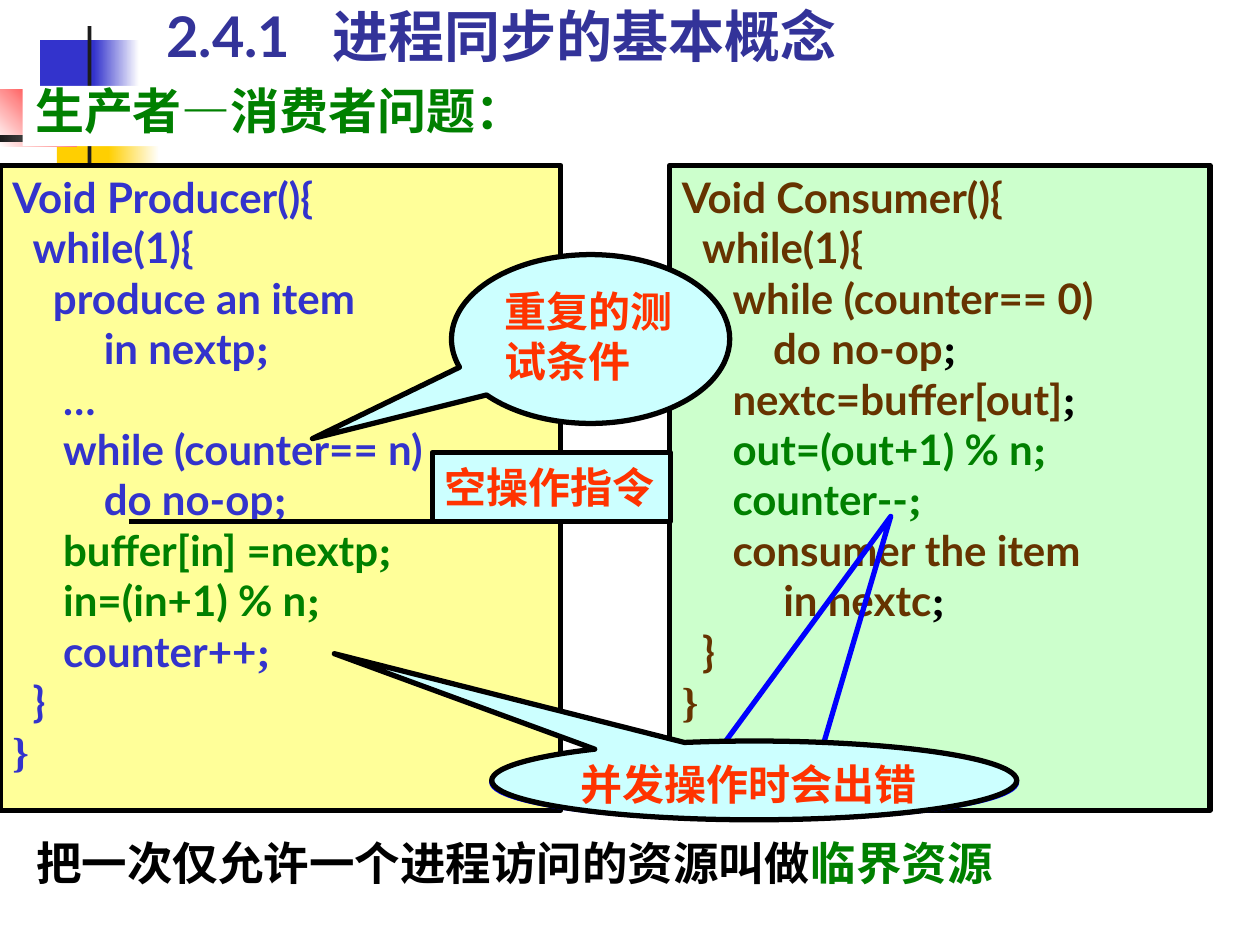
from dataclasses import dataclass
from typing import Any, NamedTuple, Optional

from lxml import etree
from pptx import Presentation
from pptx import util as u
from pptx.dml.color import RGBColor
from pptx.enum import shapes, text
from pptx.oxml.ns import qn

BLUE = RGBColor(0x33, 0x33, 0xCC)
NAVY = RGBColor(0x33, 0x33, 0x99)
PURE = RGBColor(0x00, 0x00, 0xFF)
GOLD = RGBColor(0xFF, 0xCF, 0x01)
RED = RGBColor(0xFF, 0x00, 0x00)
CORAL = RGBColor(0xFF, 0x33, 0x00)
GREEN = RGBColor(0x00, 0x80, 0x00)
BROWN = RGBColor(0x66, 0x33, 0x00)
CREAM = RGBColor(0xFF, 0xFF, 0x99)
MINT = RGBColor(0xCC, 0xFF, 0xCC)
CYAN = RGBColor(0xCC, 0xFF, 0xFF)
INK = RGBColor(0x1C, 0x1C, 0x1C)
BLACK = RGBColor(0x00, 0x00, 0x00)
WHITE = RGBColor(0xFF, 0xFF, 0xFF)

SANS, SERIF = "Lato", "Times New Roman"
RECT = shapes.MSO_SHAPE.RECTANGLE
BALLOON = shapes.MSO_SHAPE.OVAL_CALLOUT
TOP, MIDDLE, BOTTOM = (text.MSO_ANCHOR.TOP, text.MSO_ANCHOR.MIDDLE,
                       text.MSO_ANCHOR.BOTTOM)
STEP = 5.8  # indent of one code column
EDGE = 3


class Box(NamedTuple):
    x: float
    y: float
    w: float
    h: float


class Bar(NamedTuple):
    box: Box
    ink: RGBColor
    end: Optional[RGBColor] = None
    angle: int = 0


class Run(NamedTuple):
    words: str
    ink: RGBColor
    face: str = SANS


@dataclass
class Line:
    runs: list[Run]
    pad: int = 0
    size: float = 24
    lead: Optional[float] = None
    gap: float = 0
    tab: float = 0


@dataclass
class Panel:
    box: Box
    lines: list[Line]
    fill: Optional[RGBColor] = None
    edge: Optional[RGBColor] = None
    kind: Any = RECT
    tip: tuple[float, ...] = ()
    wrap: bool = False
    anchor: Any = TOP
    grow: bool = False


def code(pad: int, body: str, ink: RGBColor, tail: str = "",
         tint: Optional[RGBColor] = None) -> Line:
    """A line of code whose closing mark is set in the serif face."""
    runs = [Run(body, ink)] if body else []
    if tail:
        runs.append(Run(tail, tint or ink, SERIF))
    return Line(runs, pad)


def note(words: str) -> list[Line]:
    return [Line([Run(words, CORAL)])]


def put(item: Any, vals: dict[str, Any]) -> None:
    for name, val in vals.items():
        if val is not None:
            setattr(item, name, val)


def place(box: Box) -> list[int]:
    return [u.Pt(n) for n in box]


def paint(form: Any, fill: Optional[RGBColor], edge: Optional[RGBColor]) -> None:
    form.shadow.inherit = False
    if fill is None:
        form.fill.background()
    else:
        form.fill.solid()
        form.fill.fore_color.rgb = fill
    if edge is None:
        form.line.fill.background()
    else:
        form.line.color.rgb = edge
        form.line.width = u.Pt(EDGE)


def draw_bar(slide: Any, bar: Bar) -> None:
    form = slide.shapes.add_shape(RECT, *place(bar.box))
    paint(form, bar.ink, None)
    if bar.end is not None:
        form.fill.gradient()
        form.fill.gradient_angle = bar.angle
        for stop, ink in zip(form.fill.gradient_stops, (bar.ink, bar.end)):
            stop.color.rgb = ink


def write(para: Any, line: Line) -> None:
    put(para, {"alignment": text.PP_ALIGN.LEFT, "line_spacing": line.lead,
               "space_before": u.Pt(line.gap)})
    props = para._p.get_or_add_pPr()
    if line.pad:
        put_left = str(u.Pt(line.pad * STEP))
        props.set("marL", put_left)
        props.set("indent", "0")
    if line.tab:
        tabs = etree.SubElement(props, qn("a:tabLst"))
        etree.SubElement(tabs, qn("a:tab"), pos=str(u.Pt(line.tab)), algn="l")
    for part in line.runs:
        run = para.add_run()
        run.text = part.words
        put(run.font, {"name": part.face, "size": u.Pt(line.size), "bold": True})
        run.font.color.rgb = part.ink


def draw_panel(slide: Any, panel: Panel) -> None:
    form = slide.shapes.add_shape(panel.kind, *place(panel.box))
    for i, val in enumerate(panel.tip):
        form.adjustments[i] = val
    paint(form, panel.fill, panel.edge)
    fit = text.MSO_AUTO_SIZE
    frame = form.text_frame
    put(frame, {"word_wrap": panel.wrap, "vertical_anchor": panel.anchor,
                "auto_size": fit.SHAPE_TO_FIT_TEXT if panel.grow else fit.NONE})
    for i, line in enumerate(panel.lines):
        write(frame.add_paragraph() if i else frame.paragraphs[0], line)


def draw_rule(slide: Any, x: float, y: float, end: float) -> None:
    rule = slide.shapes.add_connector(
        shapes.MSO_CONNECTOR.STRAIGHT, u.Pt(x), u.Pt(y), u.Pt(end), u.Pt(y))
    put(rule.line, {"width": u.Pt(EDGE)})
    rule.line.color.rgb = BLACK
    etree.SubElement(rule._element.spPr, qn("a:effectLst"))


BARS = [
    Bar(Box(23, 23, 34.5, 37.5), BLUE),
    Bar(Box(53.5, 23, 26, 37.5), BLUE, WHITE),
    Bar(Box(32.5, 57, 33, 37.5), GOLD),
    Bar(Box(62, 57, 29, 37.5), GOLD, WHITE),
    Bar(Box(0, 51, 44, 33), WHITE, RED, 45),
    Bar(Box(50, 15, 2.25, 83), INK),
    Bar(Box(0, 77, 88, 4.25), INK, WHITE),
]

MAKER = [
    code(0, "Void Producer(){", BLUE),
    code(2, "while(1){", BLUE),
    code(4, "produce an item", BLUE),
    code(9, "in nextp", BLUE, ";"),
    code(5, "…", BLUE),
    code(5, "while (counter== n)", BLUE),
    code(9, "do no-op", BLUE, ";"),
    code(5, "buffer[in] =nextp", GREEN, ";"),
    code(5, "in=(in+1) % n", GREEN, ";"),
    code(5, "counter++", BLUE, ";"),
    code(2, "}", BLUE),
    code(0, "", BLUE, "}"),
]

USER = [
    code(0, "Void Consumer(){", BROWN),
    code(2, "while(1){", BROWN),
    code(5, "while (counter== 0)", BROWN),
    code(9, "do no-op", BROWN, ";", BLACK),
    code(5, "nextc=buffer[out]", BROWN, ";", BLACK),
    code(5, "out=(out+1) % n", GREEN, ";"),
    code(5, "counter--", GREEN, ";"),
    code(5, "consumer the item", BROWN),
    code(10, "in nextc", BROWN, ";", BLACK),
    code(2, "}", BROWN),
    code(0, "", BROWN, "}"),
]

CODE = [
    Panel(Box(0, 94.5, 320.5, 368.5), MAKER, CREAM, BLACK),
    Panel(Box(382.5, 94.5, 309, 368.5), USER, MINT, BLACK),
]

NOTES = [
    Panel(Box(247, 258.5, 136, 39.5), note("空操作指令"), CYAN, BLACK,
          anchor=MIDDLE),
    Panel(Box(258, 145.5, 159, 96.5), note("重复的测试条件"), CYAN, BLACK,
          BALLOON, (-1, 0.59), wrap=True),
    Panel(Box(88, 0, 613.5, 43),
          [Line([Run("2.4.1\t进程同步的基本概念", NAVY)], size=32, tab=95)],
          wrap=True, anchor=BOTTOM),
    Panel(Box(281, 425.5, 300, 42.5), [], None, PURE, BALLOON, (0.26, -3.57)),
    Panel(Box(281, 423.5, 300, 45), note("并发操作时会出错"), CYAN, BLACK,
          BALLOON, (-0.8, -1.61), wrap=True),
    Panel(Box(13, 49, 294, 34.5),
          [Line([Run("生产者—消费者问题：", GREEN)], size=28, lead=0.8, gap=7)],
          WHITE, grow=True),
    Panel(Box(13.5, 479.5, 561, 32.5),
          [Line([Run("把一次仅允许一个进程访问的资源叫做", BLACK),
                 Run("临界资源", GREEN)], size=26, lead=0.8, gap=6.5)],
          grow=True),
]


def main() -> None:
    deck = Presentation()
    put(deck, {"slide_width": u.Pt(720), "slide_height": u.Pt(540)})
    slide = deck.slides.add_slide(deck.slide_layouts[6])
    for bar in BARS:
        draw_bar(slide, bar)
    for panel in CODE:
        draw_panel(slide, panel)
    draw_rule(slide, 74, 298, 250)
    for panel in NOTES:
        draw_panel(slide, panel)
    deck.save("out.pptx")


if __name__ == "__main__":
    main()
